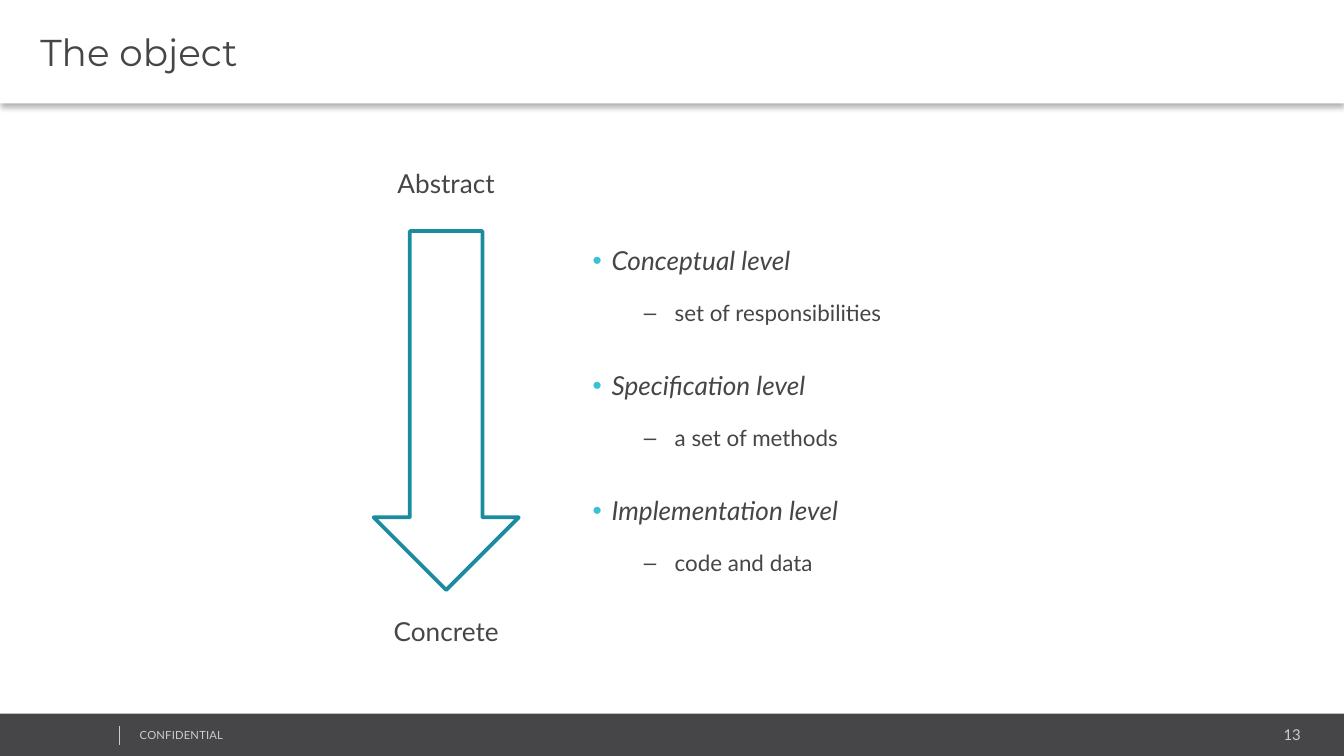
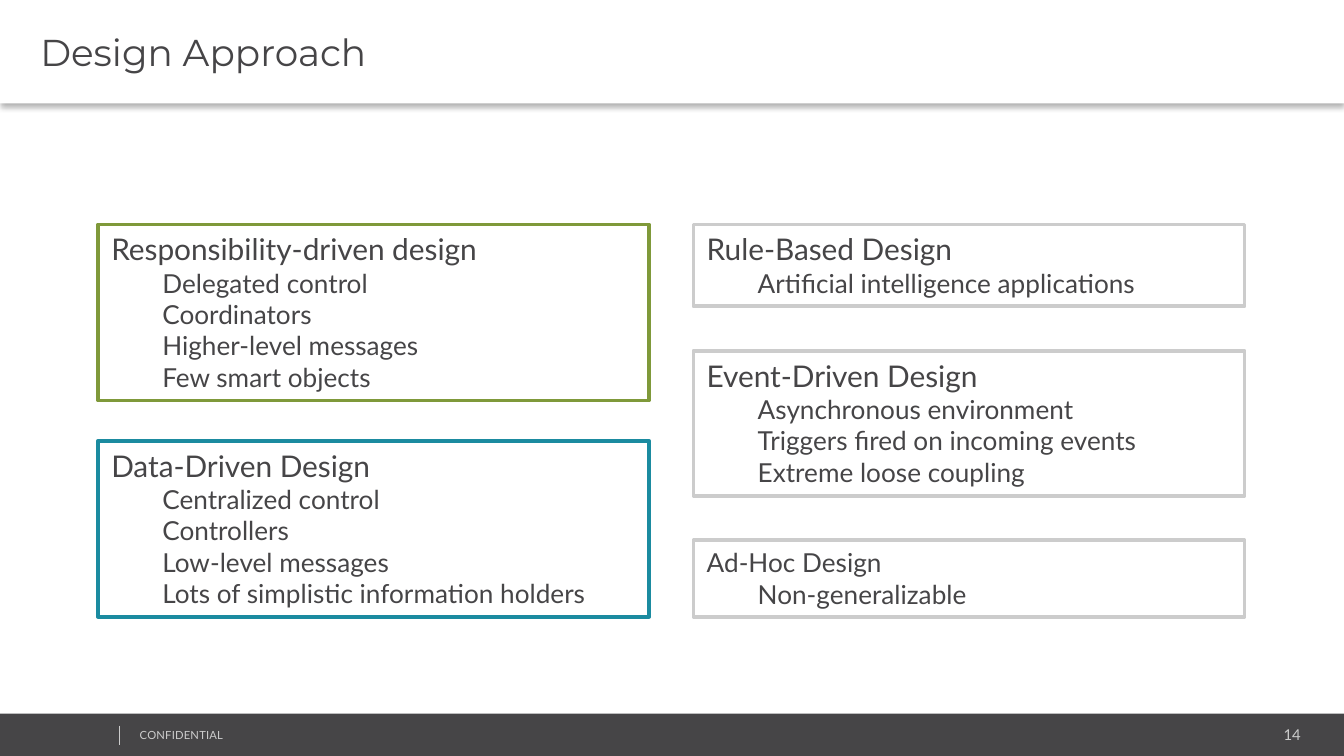
from dataclasses import dataclass
from typing import Any

import pptx
import pptx.dml.color
import pptx.enum.shapes
import pptx.enum.text
import pptx.oxml
import pptx.oxml.ns
import pptx.util
from pptx.util import Inches

COLORS = {
    "text": "464547",
    "white": "FFFFFF",
    "gray": "CCCCCC",
    "teal": "1B8BA0",
    "green": "7F993A",
    "cyan": "39C2D7",
    "black": "000000",
}
SHAPE = pptx.enum.shapes.MSO_SHAPE
ALIGN = pptx.enum.text.PP_ALIGN
ANCHOR = pptx.enum.text.MSO_ANCHOR
NS = pptx.oxml.ns.nsdecls("a")
SLIM = (0.07, 0.04, 0.07, 0.04)
COLUMN_TOP, COLUMN_BOTTOM, COLUMN_WIDTH = 1.67, 4.59, 4.1


@dataclass
class Level:
    name: str
    detail: str


@dataclass
class Approach:
    name: str
    points: list[str]
    height: float
    line: str = "gray"
    size: int = 16


@dataclass
class Column:
    left: float
    approaches: list[Approach]


LEVELS = [
    Level("Conceptual level", "set of responsibilities"),
    Level("Specification level", "a set of methods"),
    Level("Implementation level", "code and data"),
]
COLUMNS = [
    Column(0.73, [
        Approach("Responsibility-driven design",
                 ["Delegated control", "Coordinators", "Higher-level messages",
                  "Few smart objects"], 1.31, "green"),
        Approach("Data-Driven Design",
                 ["Centralized control", "Controllers", "Low-level messages",
                  "Lots of simplistic information holders"], 1.31, "teal"),
    ]),
    Column(5.16, [
        Approach("Rule-Based Design", ["Artificial intelligence applications"], 0.61),
        Approach("Event-Driven Design",
                 ["Asynchronous environment", "Triggers fired on incoming events",
                  "Extreme loose coupling"], 1.08),
        Approach("Ad-Hoc Design", ["Non-generalizable"], 0.57, size=14),
    ]),
]


def rgb(name: str) -> pptx.dml.color.RGBColor:
    return pptx.dml.color.RGBColor.from_string(COLORS[name])


def add_box(s: Any, left: float, top: float, width: float, height: float,
            fill: str = "white", line: str | None = None, shape: Any = SHAPE.RECTANGLE) -> Any:
    sp = s.shapes.add_shape(shape, Inches(left), Inches(top), Inches(width), Inches(height))
    sp.shadow.inherit = False
    sp.fill.solid()
    sp.fill.fore_color.rgb = rgb(fill)
    if line:
        sp.line.color.rgb = rgb(line)
        sp.line.width = pptx.util.Pt(2)
    else:
        sp.line.fill.background()
    return sp


def add_text_box(s: Any, left: float, top: float, width: float, height: float) -> Any:
    return s.shapes.add_textbox(Inches(left), Inches(top), Inches(width), Inches(height))


def set_frame(sp: Any, insets: tuple[float, ...] = (0.1, 0.05, 0.1, 0.05),
              anchor: Any = ANCHOR.TOP) -> Any:
    tf = sp.text_frame
    tf.word_wrap = True
    tf.vertical_anchor = anchor
    tf.margin_left, tf.margin_top, tf.margin_right, tf.margin_bottom = map(Inches, insets)
    return tf


def add_text(tf: Any, text: str, *, size: float, color: str = "text", font: str = "Lato",
             italic: bool = False, align: Any = ALIGN.LEFT, level: int = 0,
             indent: tuple[float, float] = (0, 0), bullet: str = "", bullet_color: str = "text",
             line_spacing: float = 1, before: float = 0, after: float = 0,
             tracking: int = 0) -> None:
    first = tf.paragraphs[0]
    p = tf.add_paragraph() if first.runs else first
    p_pr = p._p.get_or_add_pPr()
    p_pr.set("marL", str(Inches(indent[0])))
    p_pr.set("indent", str(Inches(indent[1])))
    if bullet:
        for xml in (f'<a:buClr {NS}><a:srgbClr val="{COLORS[bullet_color]}"/></a:buClr>',
                    f'<a:buFont {NS} typeface="Arial"/>',
                    f'<a:buChar {NS} char="{bullet}"/>'):
            p_pr.append(pptx.oxml.parse_xml(xml))
    p.level = level
    p.alignment = align
    p.line_spacing = line_spacing
    p.space_before = pptx.util.Pt(before)
    p.space_after = pptx.util.Pt(after)
    r = p.add_run()
    r.text = text
    r.font.name = font
    r.font.size = pptx.util.Pt(size)
    r.font.italic = italic
    r.font.color.rgb = rgb(color)
    if tracking:
        r._r.get_or_add_rPr().set("spc", str(tracking))


def add_footer(s: Any, number: int) -> None:
    add_box(s, 0, 5.31, 10.01, 0.33, "text")
    tf = set_frame(add_text_box(s, 8.12, 5.36, 1.63, 0.21), SLIM)
    add_text(tf, str(number), size=8, color="gray", align=ALIGN.RIGHT)
    tf = set_frame(add_text_box(s, 0.97, 5.38, 2.53, 0.18), SLIM)
    add_text(tf, "CONFIDENTIAL", size=6, color="gray", tracking=10)
    divider = s.shapes.add_connector(pptx.enum.shapes.MSO_CONNECTOR.STRAIGHT,
                                     Inches(0.89), Inches(5.4), Inches(0.89), Inches(5.54))
    divider.line.color.rgb = rgb("gray")
    divider.line.width = pptx.util.Pt(0.25)
    divider._element.spPr.append(pptx.oxml.parse_xml(f"<a:effectLst {NS}/>"))


def add_title(s: Any, title: str) -> None:
    sp = add_box(s, 0, 0, 10, 0.77)
    effects = sp._element.spPr.find(pptx.oxml.ns.qn("a:effectLst"))
    effects.append(pptx.oxml.parse_xml(
        f'<a:outerShdw {NS} blurRad="{pptx.util.Pt(3.1)}" dist="{pptx.util.Pt(2)}" '
        f'dir="5400000" algn="t" rotWithShape="0"><a:srgbClr val="{COLORS["black"]}">'
        '<a:alpha val="30000"/></a:srgbClr></a:outerShdw>'))
    tf = set_frame(sp, (0.3, 0.04, 0.07, 0.04), ANCHOR.MIDDLE)
    add_text(tf, title, size=20, font="Montserrat")


def add_slide(prs: Any, title: str, number: int) -> Any:
    s = prs.slides.add_slide(prs.slide_layouts[6])
    add_footer(s, number)
    add_title(s, title)
    return s


def build_object(prs: Any) -> None:
    s = add_slide(prs, "The object", 13)
    tf = set_frame(add_text_box(s, 4.34, 1.18, 5.18, 3.7), SLIM, ANCHOR.MIDDLE)
    for i, level in enumerate(LEVELS):
        add_text(tf, level.name, size=14, italic=True, indent=(0.14, -0.14), bullet="•",
                 bullet_color="cyan", line_spacing=1.2, before=20 if i else 0, after=7.5)
        add_text(tf, level.detail, size=12, level=1, indent=(0.61, -0.23), bullet="–",
                 line_spacing=1.2, before=2)
    add_box(s, 2.78, 1.72, 1.08, 2.67, line="teal", shape=SHAPE.DOWN_ARROW)
    for label, top in (("Abstract", 1.2), ("Concrete", 4.53)):
        tf = set_frame(add_text_box(s, 2.77, top, 1.1, 0.34))
        add_text(tf, label, size=14, align=ALIGN.CENTER)


def build_approaches(prs: Any) -> None:
    s = add_slide(prs, "Design Approach", 14)
    for column in COLUMNS:
        used = sum(a.height for a in column.approaches)
        gap = (COLUMN_BOTTOM - COLUMN_TOP - used) / (len(column.approaches) - 1)
        top = COLUMN_TOP
        for a in column.approaches:
            tf = set_frame(add_box(s, column.left, top, COLUMN_WIDTH, a.height, line=a.line))
            add_text(tf, a.name, size=a.size)
            for point in a.points:
                add_text(tf, point, size=14, level=1, indent=(0.38, 0))
            top += a.height + gap


def main() -> None:
    prs = pptx.Presentation()
    prs.slide_width = Inches(10)
    prs.slide_height = prs.slide_width * 9 // 16
    build_object(prs)
    build_approaches(prs)
    prs.save("out.pptx")


if __name__ == "__main__":
    main()
